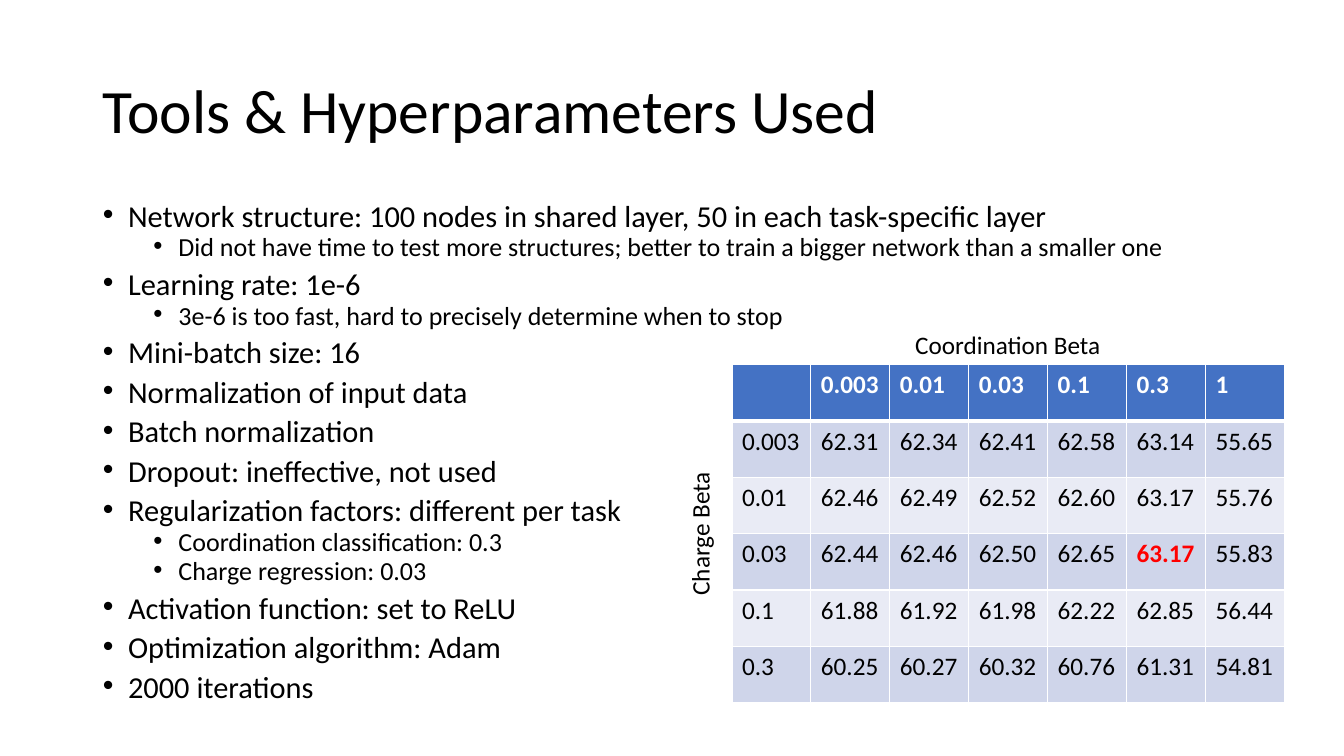
from lxml import etree
from pptx import Presentation
from pptx import util as u
from pptx.dml import color
from pptx.enum import text
from pptx.oxml import ns

BLACK, WHITE, RED, BLUE = "000000", "FFFFFF", "FF0000", "4472C4"
BANDS = ["CFD5EA", "E9EBF5"]

ITEMS = [
    (0, "Network structure: 100 nodes in shared layer, 50 in each task-specific layer"),
    (1, "Did not have time to test more structures; better to train a bigger network than a smaller one"),
    (0, "Learning rate: 1e-6"),
    (1, "3e-6 is too fast, hard to precisely determine when to stop"),
    (0, "Mini-batch size: 16"),
    (0, "Normalization of input data"),
    (0, "Batch normalization"),
    (0, "Dropout: ineffective, not used"),
    (0, "Regularization factors: different per task"),
    (1, "Coordination classification: 0.3"),
    (1, "Charge regression: 0.03"),
    (0, "Activation function: set to ReLU"),
    (0, "Optimization algorithm: Adam"),
    (0, "2000 iterations"),
]

ROWS = [
    ["", "0.003", "0.01", "0.03", "0.1", "0.3", "1"],
    ["0.003", "62.31", "62.34", "62.41", "62.58", "63.14", "55.65"],
    ["0.01", "62.46", "62.49", "62.52", "62.60", "63.17", "55.76"],
    ["0.03", "62.44", "62.46", "62.50", "62.65", "63.17", "55.83"],
    ["0.1", "61.88", "61.92", "61.98", "62.22", "62.85", "56.44"],
    ["0.3", "60.25", "60.27", "60.32", "60.76", "61.31", "54.81"],
]
BEST = (3, 5)


def rgb(code):
    return color.RGBColor.from_string(code)


def add(parent, tag, **attrs):
    return etree.SubElement(parent, ns.qn(tag), attrs)


class Deck:
    face = "Calibri"

    def __init__(self, wide, high):
        self.prs = Presentation()
        self.prs.slide_width, self.prs.slide_height = u.Inches(wide), u.Inches(high)
        self.slide = self.prs.slides.add_slide(self.prs.slide_layouts[1])

    def font(self, par, size, tone=BLACK, bold=False):
        for run in par.runs:
            run.font.name, run.font.size = self.face, u.Pt(size)
            run.font.bold, run.font.color.rgb = bold, rgb(tone)

    def place(self, shape, box):
        shape.left, shape.top, shape.width, shape.height = map(u.Inches, box)
        shape.text_frame.auto_size = text.MSO_AUTO_SIZE.NONE
        return shape.text_frame

    def title(self, words, box):
        frame = self.place(self.slide.shapes.title, box)
        frame.text = words
        frame.vertical_anchor = text.MSO_ANCHOR.MIDDLE
        par = frame.paragraphs[0]
        par.alignment, par.line_spacing = text.PP_ALIGN.LEFT, 0.9
        self.font(par, 44)

    def bullets(self, items, box):
        frame = self.place(self.slide.placeholders[1], box)
        frame.text = "\n".join(words for _, words in items)
        for par, (level, _) in zip(frame.paragraphs, items):
            par.level, par.line_spacing = level, 0.7
            par.space_before = u.Pt(5 if level else 10)
            self.font(par, 18.6 if level else 21.7)
            props = par._p.get_or_add_pPr()
            props.set("marL", str(u.Inches(0.25 + 0.5 * level)))
            props.set("indent", str(u.Inches(-0.25)))
            add(props, "a:buFont", typeface="Arial")
            add(props, "a:buChar", char="•")

    def label(self, words, box, turn=False):
        shape = self.slide.shapes.add_textbox(*map(u.Inches, box))
        frame = shape.text_frame
        frame.text, frame.word_wrap = words, False
        frame.auto_size = text.MSO_AUTO_SIZE.SHAPE_TO_FIT_TEXT
        if turn:
            frame._txBody.bodyPr.set("vert", "vert270")
        frame.paragraphs[0].alignment = text.PP_ALIGN.CENTER
        self.font(frame.paragraphs[0], 18)

    def edges(self, cell, top, bottom):
        props = cell._tc.get_or_add_tcPr()
        for side, width in zip("LRTB", (1, 1, top, bottom)):
            line = add(props, f"a:ln{side}", w=str(u.Pt(width)))
            add(add(line, "a:solidFill"), "a:srgbClr", val=WHITE)

    def table(self, rows, box, best):
        shape = self.slide.shapes.add_table(len(rows), len(rows[0]), *map(u.Inches, box))
        for r, row in enumerate(rows):
            for c, words in enumerate(row):
                cell = shape.table.cell(r, c)
                head = r == 0
                self.edges(cell, 3 if r == 1 else 1, 3 if head else 1)
                cell.fill.solid()
                cell.fill.fore_color.rgb = rgb(BLUE if head else BANDS[(r - 1) % 2])
                cell.text = words
                top = (r, c) == best
                tone = WHITE if head else RED if top else BLACK
                self.font(cell.text_frame.paragraphs[0], 18, tone, head or top)


def main():
    deck = Deck(13.33, 7.5)

    # Title and settings
    deck.title("Tools & Hyperparameters Used", (0.92, 0.4, 11.5, 1.45))
    deck.bullets(ITEMS, (0.92, 2, 11.5, 5.1))

    # Results by beta
    deck.table(ROWS, (7.26, 3.62, 5.48, 3.35), BEST)
    deck.label("Coordination Beta", (8.97, 3.22, 2.05, 0.4))
    deck.label("Charge Beta", (6.74, 4.09, 0.5, 2.41), turn=True)

    deck.prs.save("out.pptx")


if __name__ == "__main__":
    main()
